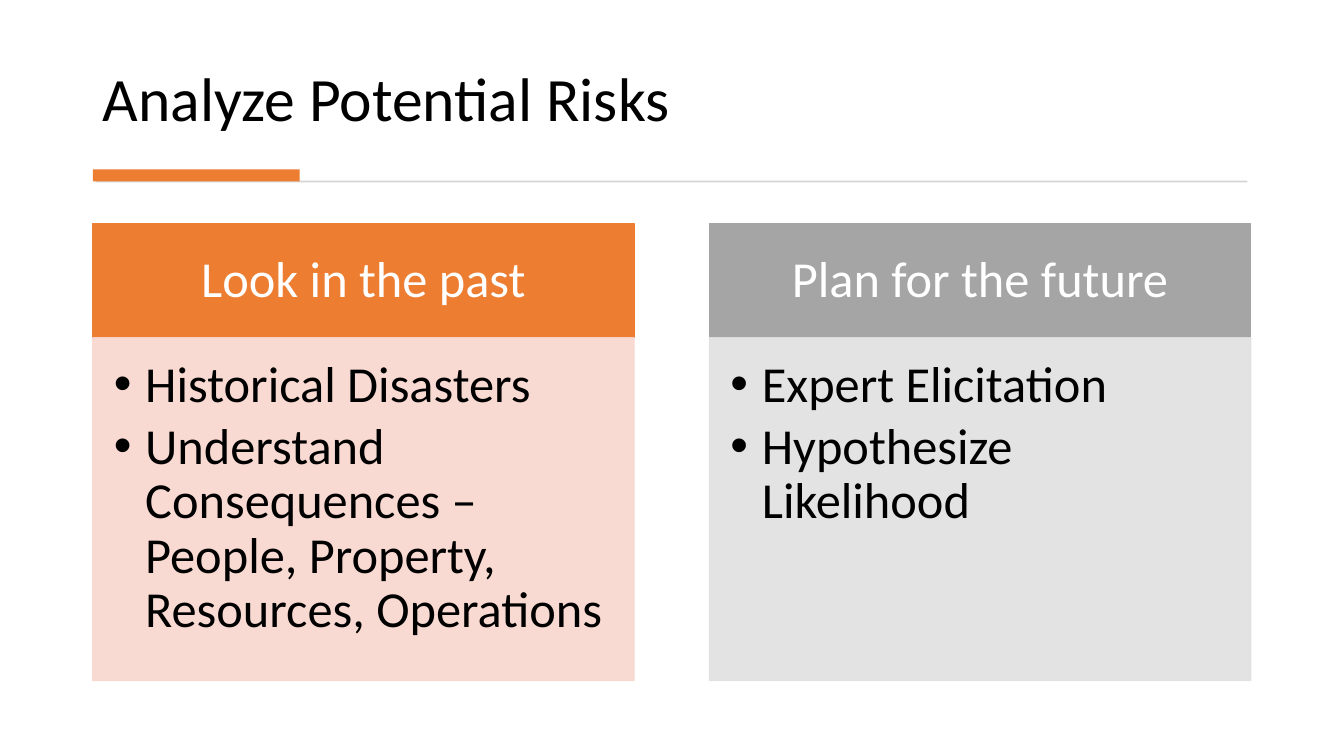
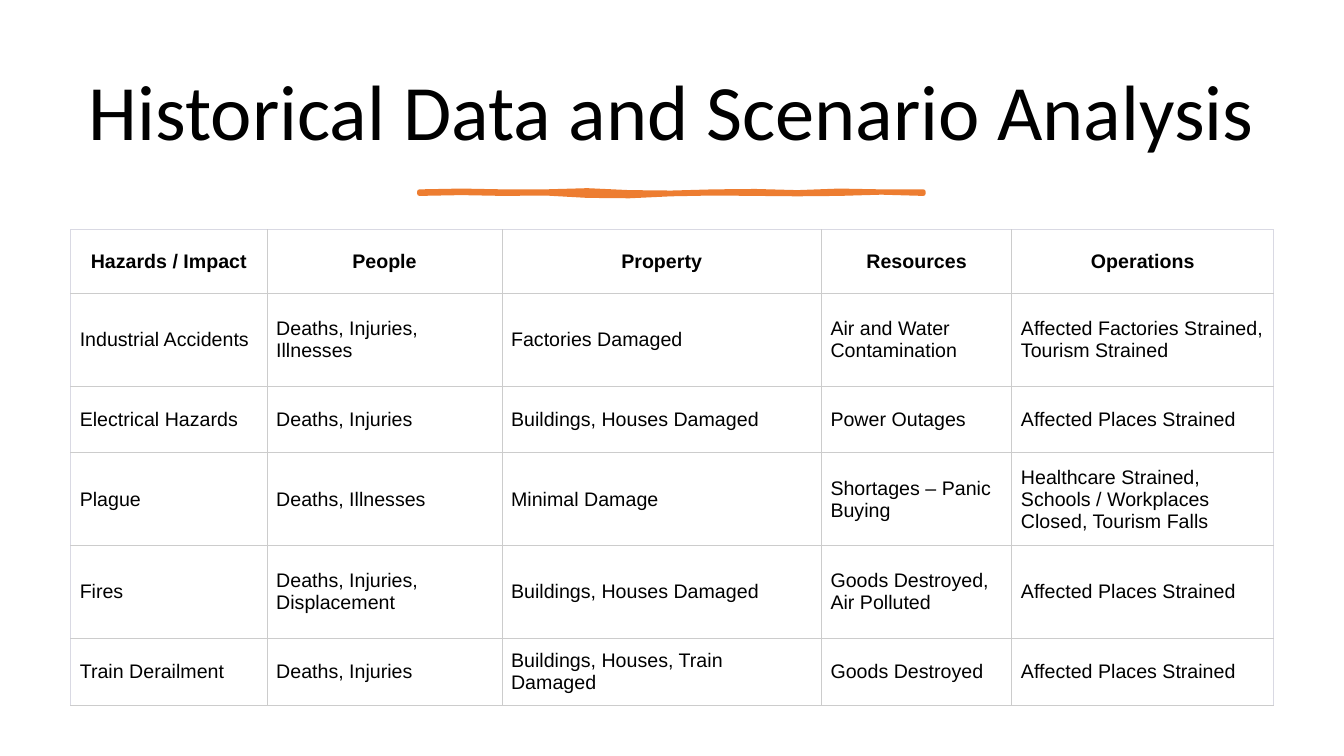
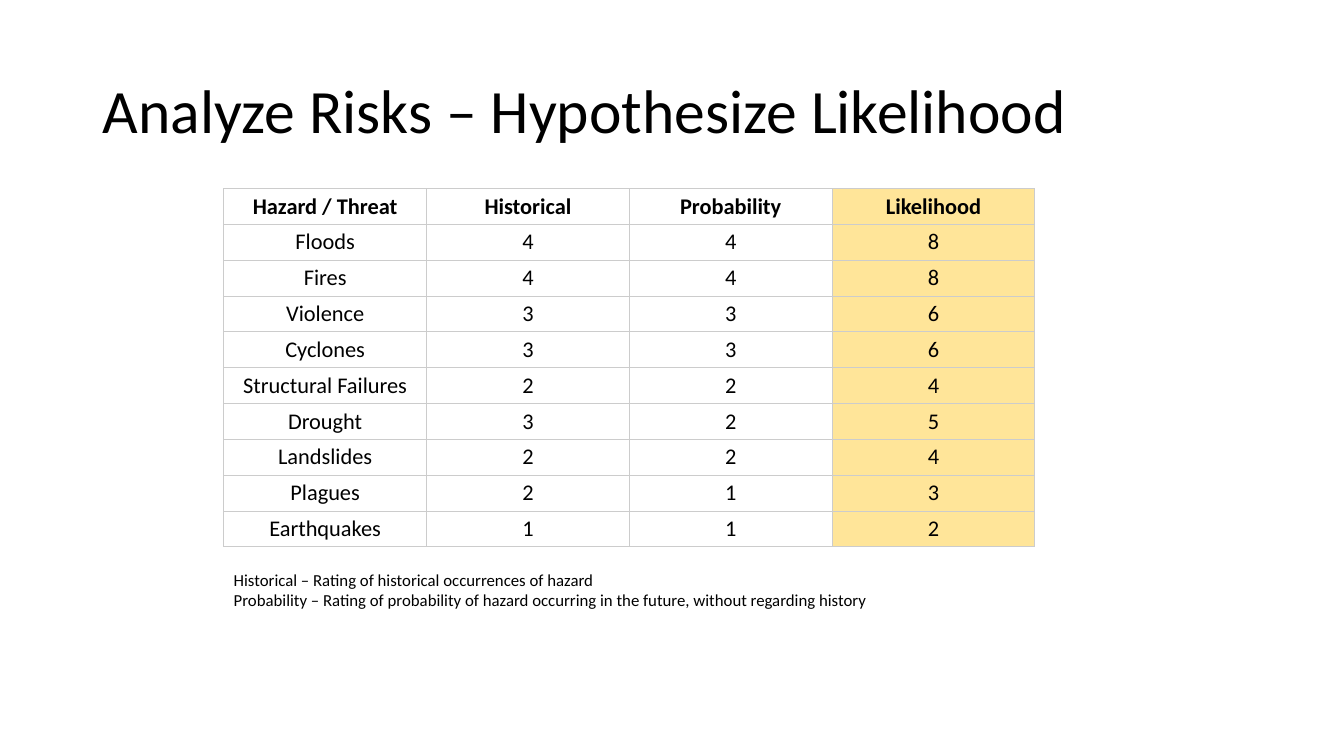
from dataclasses import dataclass

from lxml import etree
from pptx import Presentation
from pptx.dml.color import RGBColor
from pptx.enum.shapes import MSO_SHAPE
from pptx.enum.text import MSO_ANCHOR, PP_ALIGN
from pptx.oxml.ns import qn
from pptx.util import Cm, Pt

RECTANGLE = MSO_SHAPE.RECTANGLE
TOP, MIDDLE, BOTTOM = MSO_ANCHOR.TOP, MSO_ANCHOR.MIDDLE, MSO_ANCHOR.BOTTOM
LEFT, CENTER = PP_ALIGN.LEFT, PP_ALIGN.CENTER


@dataclass(frozen=True)
class Theme:
    text: str = "000000"
    white: str = "FFFFFF"
    orange: str = "ED7D31"
    orange_tint: str = "F8D7CE"
    gray: str = "A5A5A5"
    gray_tint: str = "E1E1E1"
    rule: str = "D5D5D5"
    grid: str = "CCCCCC"
    grid_edge: str = "D9D9E3"
    highlight: str = "FFE599"
    font: str = "Calibri"
    table_font: str = "Arial"
    title_size: int = 44
    large_title_size: int = 56
    panel_size: int = 36
    rating_size: int = 16
    hazard_size: int = 14
    note_size: int = 12
    line_spacing: float = 0.9
    margin: float = 2.34


THEME = Theme()

HAZARD_ROWS = [
    ["Hazards / Impact", "People", "Property", "Resources", "Operations"],
    ["Industrial Accidents", "Deaths, Injuries, Illnesses", "Factories Damaged",
     "Air and Water Contamination", "Affected Factories Strained, Tourism Strained"],
    ["Electrical Hazards", "Deaths, Injuries", "Buildings, Houses Damaged",
     "Power Outages", "Affected Places Strained"],
    ["Plague", "Deaths, Illnesses", "Minimal Damage", "Shortages – Panic Buying",
     "Healthcare Strained, Schools / Workplaces Closed, Tourism Falls"],
    ["Fires", "Deaths, Injuries, Displacement", "Buildings, Houses Damaged",
     "Goods Destroyed, Air Polluted", "Affected Places Strained"],
    ["Train Derailment", "Deaths, Injuries", "Buildings, Houses, Train Damaged",
     "Goods Destroyed", "Affected Places Strained"],
]

RATINGS = [
    ("Floods", 4, 4),
    ("Fires", 4, 4),
    ("Violence", 3, 3),
    ("Cyclones", 3, 3),
    ("Structural Failures", 2, 2),
    ("Drought", 3, 2),
    ("Landslides", 2, 2),
    ("Plagues", 2, 1),
    ("Earthquakes", 1, 1),
]


def apply_format(target, values):
    for name, value in values.items():
        setattr(target, name, value)


def margins(left, top, right, bottom):
    return {"margin_left": Cm(left), "margin_top": Cm(top),
            "margin_right": Cm(right), "margin_bottom": Cm(bottom)}


def font_format(size, name=THEME.font, bold=False):
    return {"size": Pt(size), "name": name, "bold": bold}


def add_bullet(para, indent):
    properties = para._p.get_or_add_pPr()
    properties.set("marL", str(Cm(indent)))
    properties.set("indent", str(-Cm(indent)))
    etree.SubElement(properties, qn("a:buFont"), typeface="Arial")
    etree.SubElement(properties, qn("a:buChar"), char="•")


def write(frame, lines, font, para_format, color=THEME.text, bullet_indent=None):
    for index, line in enumerate(lines):
        para = frame.paragraphs[0] if index == 0 else frame.add_paragraph()
        if bullet_indent:
            add_bullet(para, bullet_indent)
        apply_format(para, para_format)
        span = para.add_run()
        span.text = line
        apply_format(span.font, font)
        span.font.color.rgb = RGBColor.from_string(color)


def add_text(page, area, lines, size, para_format, anchor=TOP):
    box = page.shapes.add_textbox(*map(Cm, area))
    apply_format(box.text_frame, {"word_wrap": True, "vertical_anchor": anchor})
    write(box.text_frame, lines, font_format(size), para_format)


def add_title(page, area, text, size=THEME.title_size, anchor=MIDDLE, align=LEFT):
    add_text(page, area, [text], size,
             {"alignment": align, "line_spacing": THEME.line_spacing}, anchor)


def paint(shape, fill, line_width=0):
    shape.shadow.inherit = False
    shape.fill.solid()
    shape.fill.fore_color.rgb = RGBColor.from_string(fill)
    if line_width:
        shape.line.color.rgb = RGBColor.from_string(fill)
        shape.line.width = Pt(line_width)
    else:
        shape.line.fill.background()


def add_rectangle(page, area, fill, line_width=0):
    shape = page.shapes.add_shape(RECTANGLE, *map(Cm, area))
    paint(shape, fill, line_width)
    return shape


def set_opacity(shape, percent):
    """Apply to the fill and the outline alike."""
    for color in shape.element.spPr.iter(qn("a:srgbClr")):
        etree.SubElement(color, qn("a:alpha"), val=str(percent * 1000))


def add_panel(page, left, heading, bullets, fill, tint):
    top, width, heading_height, body_height = 5.64, 13.64, 2.87, 8.64
    font = font_format(THEME.panel_size)

    header = add_rectangle(page, (left, top, width, heading_height), fill, 1)
    apply_format(header.text_frame, {"word_wrap": True, "vertical_anchor": MIDDLE,
                                     **margins(0.71, 0.41, 0.71, 0.41)})
    write(header.text_frame, [heading], font,
          {"alignment": CENTER, "line_spacing": THEME.line_spacing}, THEME.white)

    body = add_rectangle(page, (left, top + heading_height, width, body_height), tint, 1)
    set_opacity(body, 90)
    apply_format(body.text_frame, {"word_wrap": True, "vertical_anchor": TOP,
                                   **margins(0.53, 0.53, 0.71, 0.81)})
    write(body.text_frame, bullets, font,
          {"alignment": LEFT, "line_spacing": THEME.line_spacing,
           "space_after": Pt(0.15 * THEME.panel_size)}, bullet_indent=0.79)


def add_brush_stroke(page, left, top, width):
    """Draw a thin closed band whose two edges waver."""
    upper = [0, -0.02, 0, 0, -0.03, 0.02, 0.03, 0, -0.01, 0.02, -0.02, 0, 0]
    lower = [0.05, 0.03, 0.05, 0.04, 0.1, 0.11, 0.06, 0.04, 0.05, 0.06, 0.05, 0.02, 0.05]
    step = width / (len(upper) - 1)
    edges = [[(Cm(left + index * step), Cm(top + offset))
              for index, offset in enumerate(edge)] for edge in (upper, lower)]
    outline = edges[0] + edges[1][::-1]
    builder = page.shapes.build_freeform(*outline[0])
    builder.add_line_segments(outline[1:], close=True)
    paint(builder.convert_to_shape(), THEME.orange, 3.25)


def add_border(cell, colors):
    """Take the colours of the left, right, top and bottom sides."""
    properties = cell._tc.get_or_add_tcPr()
    for side, color in zip("LRTB", colors):
        line = etree.SubElement(properties, qn(f"a:ln{side}"), w=str(Pt(0.75)))
        fill = etree.SubElement(line, qn("a:solidFill"))
        etree.SubElement(fill, qn("a:srgbClr"), val=color)


def add_grid(page, left, top, widths, heights, rows, size, padding,
             font=THEME.font, body_align=CENTER, edge=THEME.grid, highlight_column=None):
    area = (left, top, sum(widths), sum(heights))
    table = page.shapes.add_table(len(rows), len(widths), *map(Cm, area)).table
    apply_format(table, {"first_row": False, "horz_banding": False})
    for column, width in zip(table.columns, widths):
        column.width = Cm(width)
    for row, height in zip(table.rows, heights):
        row.height = Cm(height)

    last = len(widths) - 1
    for r, values in enumerate(rows):
        for c, value in enumerate(values):
            cell = table.cell(r, c)
            outer = (c == 0, c == last, r == 0, False)
            add_border(cell, [edge if side else THEME.grid for side in outer])
            if c == highlight_column:
                cell.fill.solid()
                cell.fill.fore_color.rgb = RGBColor.from_string(THEME.highlight)
            else:
                cell.fill.background()
            apply_format(cell, {"vertical_anchor": MIDDLE, **margins(*padding * 2)})
            write(cell.text_frame, [str(value)], font_format(size, font, r == 0),
                  {"alignment": CENTER if r == 0 else body_align})


def build_risk_overview(page):
    add_title(page, (THEME.margin, 0.71, 29.18, 2.82), "Analyze Potential Risks",
              anchor=BOTTOM)
    add_rectangle(page, (2.41, 4.55, 29.03, 0.05), THEME.rule)
    add_rectangle(page, (THEME.margin, 4.27, 5.21, 0.3), THEME.orange)
    add_panel(page, THEME.margin, "Look in the past",
              ["Historical Disasters",
               "Understand Consequences – People, Property, Resources, Operations"],
              THEME.orange, THEME.orange_tint)
    add_panel(page, 17.88, "Plan for the future",
              ["Expert Elicitation", "Hypothesize Likelihood"],
              THEME.gray, THEME.gray_tint)


def build_hazard_history(page):
    add_title(page, (1.78, 1.17, 30.3, 3.48), "Historical Data and Scenario Analysis",
              THEME.large_title_size, align=CENTER)
    add_brush_stroke(page, 10.57, 4.83, 12.7)
    add_grid(page, 1.78, 5.79, [4.95, 5.92, 8.05, 4.8, 6.6],
             [1.6, 2.34, 1.68, 2.34, 2.34, 1.68], HAZARD_ROWS, THEME.hazard_size,
             (0.23, 0.11), THEME.table_font, LEFT, THEME.grid_edge)


def build_likelihood(page):
    add_title(page, (THEME.margin, 1.02, 29.21, 3.68),
              "Analyze Risks – Hypothesize Likelihood")
    rows = [("Hazard / Threat", "Historical", "Probability", "Likelihood")]
    rows += [(hazard, past, future, past + future) for hazard, past, future in RATINGS]
    add_grid(page, 5.64, 4.75, [5.11] * 4, [9.04 / len(rows)] * len(rows), rows,
             THEME.rating_size, (0.08, 0.05), highlight_column=3)
    add_text(page, (5.64, 14.22, 27.08, 1.27),
             ["Historical – Rating of historical occurrences of hazard",
              "Probability – Rating of probability of hazard occurring in the future, "
              "without regarding history"],
             THEME.note_size, {"alignment": LEFT})


def main():
    deck = Presentation()
    apply_format(deck, {"slide_width": Cm(33.87), "slide_height": Cm(19.05)})
    blank = deck.slide_layouts[6]
    for build in (build_risk_overview, build_hazard_history, build_likelihood):
        build(deck.slides.add_slide(blank))
    deck.save("out.pptx")


if __name__ == "__main__":
    main()
